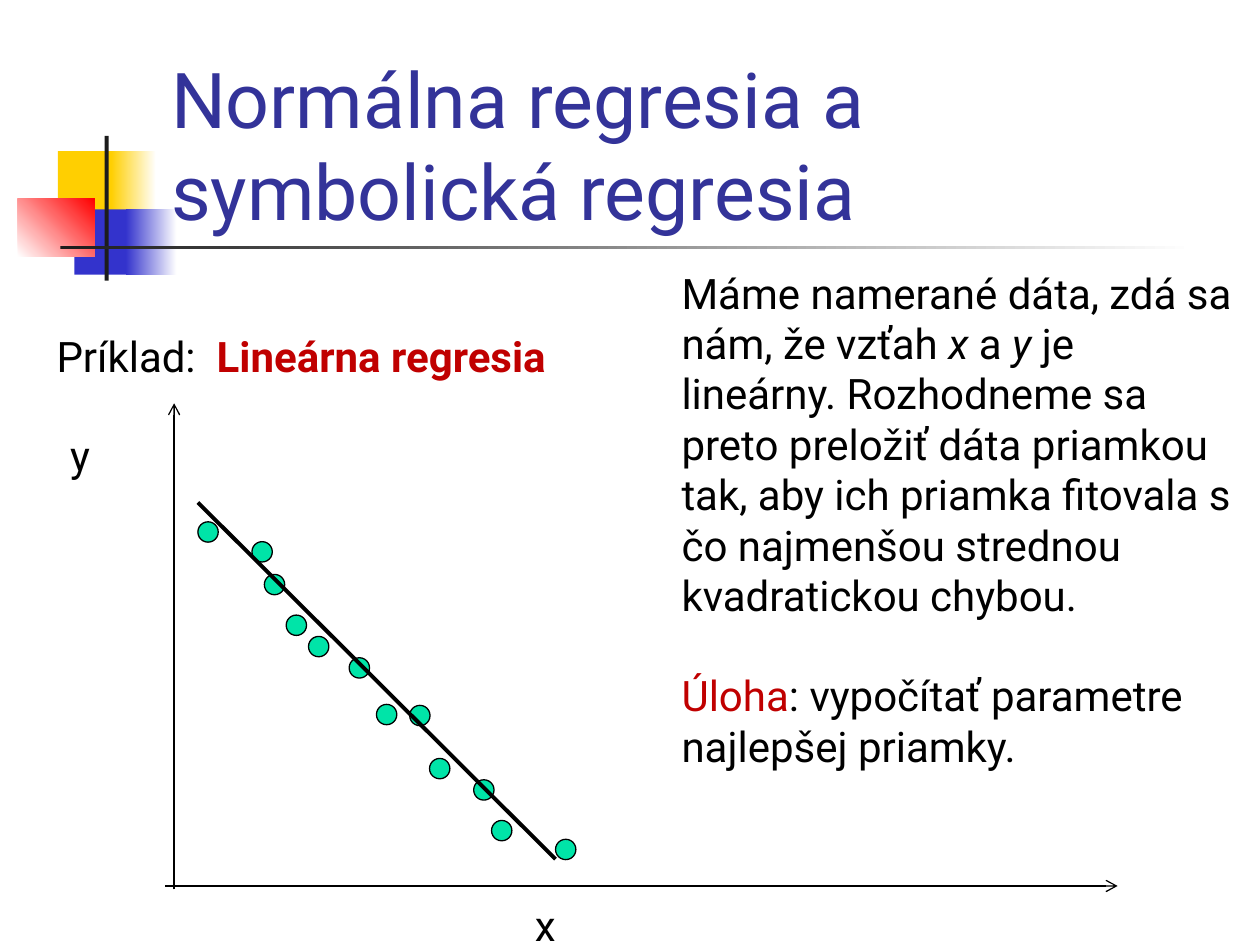
from lxml import etree
from pptx import Presentation
from pptx import util as u
from pptx.dml.color import RGBColor
from pptx.enum import shapes, text
from pptx.oxml.ns import qn

Cm = u.Cm
rgb = RGBColor.from_string
BLACK, RED = "000000", "C00000"

deck = Presentation()
deck.slide_width, deck.slide_height = Cm(25.4), Cm(19.05)
slide = deck.slides.add_slide(deck.slide_layouts[6])


def write(x, y, w, h, paras, size=24, align=text.PP_ALIGN.LEFT, tab=None):
    """Add a text box; each paragraph is a list of (words, colour, style) runs."""
    box = slide.shapes.add_textbox(Cm(x), Cm(y), Cm(w), Cm(h))
    frame = box.text_frame
    frame.word_wrap = True
    for i, runs in enumerate(paras):
        para = frame.add_paragraph() if i else frame.paragraphs[0]
        para.alignment = align
        if i:
            para.space_before = Cm(1.01)
        if tab:
            stops = etree.SubElement(para._p.get_or_add_pPr(), qn("a:tabLst"))
            etree.SubElement(stops, qn("a:tab"), pos=str(Cm(tab)), algn="l")
        for words, tone, style in runs:
            run = para.add_run()
            run.text = words
            font = run.font
            font.name, font.size = "Roboto", u.Pt(size)
            font.color.rgb = rgb(tone)
            font.bold, font.italic = style == "b", style == "i"
    return frame


def rule(x1, y1, x2, y2, width, arrow=False):
    line = slide.shapes.add_connector(
        shapes.MSO_CONNECTOR.STRAIGHT, Cm(x1), Cm(y1), Cm(x2), Cm(y2))
    line.line.color.rgb = rgb(BLACK)
    line.line.width = u.Pt(width)
    if arrow:
        etree.SubElement(line.line._get_or_add_ln(), qn("a:tailEnd"), type="arrow")
    etree.SubElement(line._element.spPr, qn("a:effectLst"))


# Corner ornament: one colour is solid, two make a gradient
blocks = [
    (1.17, 3.05, 1.22, 1.32, ["FFCF01"], 0),
    (2.24, 3.05, 0.91, 1.32, ["FFCF01", "FFFFFF"], 0),
    (1.5, 4.22, 1.17, 1.32, ["3333CC"], 0),
    (2.54, 4.22, 1.02, 1.32, ["3333CC", "FFFFFF"], 0),
    (0.36, 4.01, 1.55, 1.17, ["FFFFFF", "FF0000"], 45),
    (2.11, 2.74, 0.08, 2.92, ["1C1C1C"], 0),
    (1.22, 4.95, 22.86, 0.08, ["1C1C1C", "FFFFFF"], 0),
]
for x, y, w, h, tones, angle in blocks:
    block = slide.shapes.add_shape(
        shapes.MSO_SHAPE.RECTANGLE, Cm(x), Cm(y), Cm(w), Cm(h))
    block.shadow.inherit = False
    block.line.fill.background()
    if len(tones) == 1:
        block.fill.solid()
        block.fill.fore_color.rgb = rgb(tones[0])
    else:
        block.fill.gradient()
        block.fill.gradient_angle = angle
        for stop, tone in zip(block.fill.gradient_stops, tones):
            stop.color.rgb = rgb(tone)

title = write(3.2, 1.7, 21.64, 3.18,
              [[("Normálna regresia a symbolická regresia", "333399", "")]], 44)
title.vertical_anchor = text.MSO_ANCHOR.BOTTOM

write(0.89, 6.53, 20.6, 1.27,
      [[("Príklad:\t", BLACK, ""), ("Lineárna regresia", RED, "b")]], tab=3.23)

# Axes
rule(3.51, 17.93, 3.51, 8.13, 0.75, True)
rule(3.33, 17.86, 22.53, 17.86, 0.75, True)

# Measured data
points = [
    (3.99, 10.52), (5.08, 10.92), (5.33, 11.58), (5.77, 12.4),
    (6.22, 12.83), (7.04, 13.26), (7.59, 14.2), (8.26, 14.22),
    (8.66, 15.29), (9.55, 15.72), (9.91, 16.54), (11.2, 16.92),
]
for x, y in points:
    dot = slide.shapes.add_shape(
        shapes.MSO_SHAPE.OVAL, Cm(x), Cm(y), Cm(0.41), Cm(0.41))
    dot.shadow.inherit = False
    dot.fill.solid()
    dot.fill.fore_color.rgb = rgb("00E4A8")
    dot.line.color.rgb = rgb(BLACK)
    dot.line.width = u.Pt(0.75)

for name, x, y, w in [("x", 8.05, 18.01, 5.89), ("y", 0.51, 8.53, 2.21)]:
    write(x, y, w, 1.27, [[(name, BLACK, "")]], align=text.PP_ALIGN.CENTER)

write(13.49, 5.26, 11.61, 11.43, [
    [("Máme namerané dáta, zdá sa nám, že vzťah", BLACK, ""),
     (" x ", BLACK, "i"), ("a ", BLACK, ""), ("y", BLACK, "i"),
     (" je lineárny. Rozhodneme sa preto preložiť dáta priamkou tak, "
      "aby ich priamka fitovala s čo najmenšou strednou "
      "kvadratickou chybou.", BLACK, "")],
    [("Úloha", RED, ""),
     (": vypočítať parametre najlepšej priamky.", BLACK, "")],
])

# Fitted line
rule(3.99, 10.13, 11.2, 17.32, 2.25)

deck.save("out.pptx")
